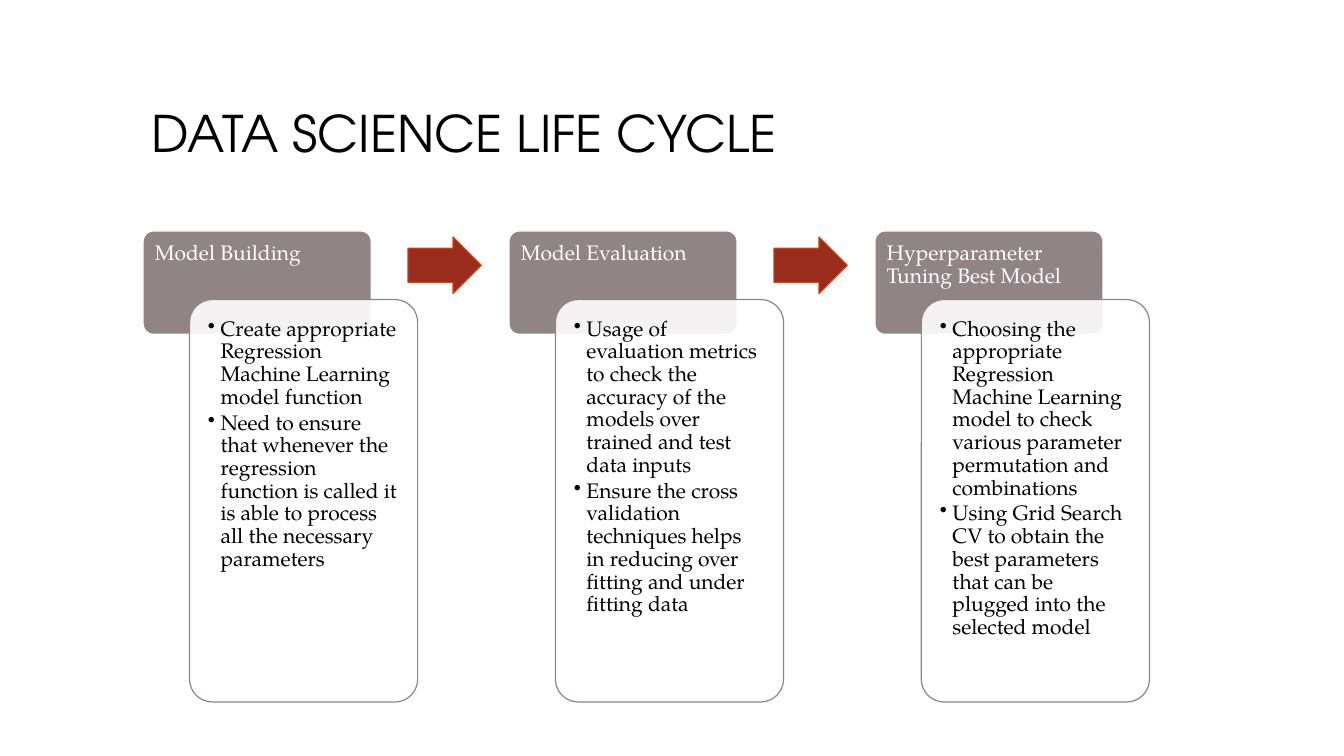
from dataclasses import dataclass

import pptx
import pptx.dml.color
import pptx.enum.shapes
import pptx.enum.text
import pptx.oxml.ns
import pptx.util
from lxml import etree
from pptx.util import Pt

COLORS = {
    "header": "918485",
    "card": "FFFFFF",
    "arrow": "9B2D1F",
    "arrow_edge": "D34817",
    "light_text": "FFFFFF",
    "dark_text": "000000",
}
TITLE_FONT = "TeX Gyre Adventor"
BODY_FONT = "TeX Gyre Pagella"
SHAPES = pptx.enum.shapes.MSO_SHAPE

FIRST_LEFT = 102.24
STAGE_PITCH = 261.36
STAGE_WIDTH = 162.9
INSET = 8.4
BULLET_INDENT = 9


@dataclass(frozen=True)
class Area:
    left: float
    top: float
    width: float
    height: float

    def shifted(self, distance: float) -> "Area":
        return Area(self.left + distance, self.top, self.width, self.height)

    def lengths(self) -> list[pptx.util.Length]:
        return [Pt(value) for value in (self.left, self.top, self.width, self.height)]


@dataclass(frozen=True)
class TextStyle:
    font: str
    size: float
    color: str
    space_after: float = 0
    bulleted: bool = False


@dataclass(frozen=True)
class Stage:
    name: str
    tasks: list[str]


TITLE = Area(101.5, 30.2, 756, 90)
HEADER = Area(FIRST_LEFT, 165, STAGE_WIDTH, 73.8)
HEADER_TEXT = Area(FIRST_LEFT, 165, STAGE_WIDTH, 49.5)
CARD = Area(135.4, 214, STAGE_WIDTH, 287.4)
CARD_TEXT = Area(140.2, 218.8, 153.4, 277.9)
ARROW = Area(289.4, 169.2, 52.5, 40.6)

TITLE_STYLE = TextStyle(TITLE_FONT, 36, "dark_text")
HEADER_STYLE = TextStyle(BODY_FONT, 15, "light_text", space_after=5.25)
TASK_STYLE = TextStyle(BODY_FONT, 15, "dark_text", space_after=2.25, bulleted=True)

STAGES = [
    Stage("Model Building", [
        "Create appropriate Regression Machine Learning model function",
        "Need to ensure that whenever the regression function is called it is able "
        "to process all the necessary parameters",
    ]),
    Stage("Model Evaluation", [
        "Usage of evaluation metrics to check the accuracy of the models over "
        "trained and test data inputs",
        "Ensure the cross validation techniques helps in reducing over fitting and "
        "under fitting data",
    ]),
    Stage("Hyperparameter Tuning Best Model", [
        "Choosing the appropriate Regression Machine Learning model to check "
        "various parameter permutation and combinations",
        "Using Grid Search CV to obtain the best parameters that can be plugged "
        "into the selected model",
    ]),
]


def rgb(name: str) -> pptx.dml.color.RGBColor:
    return pptx.dml.color.RGBColor.from_string(COLORS[name])


def add_panel(page, kind, area: Area, fill: str, edge: str, edge_width: float,
              adjustments: tuple[float, ...], opacity: int = 100) -> None:
    panel = page.shapes.add_shape(kind, *area.lengths())
    panel.shadow.inherit = False
    for index, value in enumerate(adjustments):
        panel.adjustments[index] = value
    panel.fill.solid()
    panel.fill.fore_color.rgb = rgb(fill)
    panel.line.color.rgb = rgb(edge)
    panel.line.width = Pt(edge_width)
    if opacity < 100:
        color = panel.fill._xPr.find(".//" + pptx.oxml.ns.qn("a:srgbClr"))
        alpha = etree.SubElement(color, pptx.oxml.ns.qn("a:alpha"))
        alpha.set("val", str(opacity * 1000))


def add_bullet(para) -> None:
    properties = para._p.get_or_add_pPr()
    properties.set("marL", str(Pt(BULLET_INDENT)))
    properties.set("indent", str(-Pt(BULLET_INDENT)))
    bullet = etree.SubElement(properties, pptx.oxml.ns.qn("a:buChar"))
    bullet.set("char", "•")


def add_text(page, area: Area, lines: list[str], style: TextStyle,
             insets: tuple[float, float, float, float],
             anchor=pptx.enum.text.MSO_ANCHOR.TOP) -> None:
    """Insets run left, top, right, bottom."""
    frame = page.shapes.add_textbox(*area.lengths()).text_frame
    frame.word_wrap = True
    frame.vertical_anchor = anchor
    (frame.margin_left, frame.margin_top,
     frame.margin_right, frame.margin_bottom) = map(Pt, insets)
    frame.text = "\n".join(lines)
    for para in frame.paragraphs:
        para.line_spacing = 0.9
        para.space_after = Pt(style.space_after)
        para.font.name = style.font
        para.font.size = Pt(style.size)
        para.font.color.rgb = rgb(style.color)
        if style.bulleted:
            add_bullet(para)


def add_stage(page, stage: Stage, offset: float) -> None:
    add_panel(page, SHAPES.ROUNDED_RECTANGLE, HEADER.shifted(offset),
              "header", "card", 0.85, (0.1,))
    add_text(page, HEADER_TEXT.shifted(offset), [stage.name], HEADER_STYLE,
             (INSET, INSET, INSET, INSET / 2))
    add_panel(page, SHAPES.ROUNDED_RECTANGLE, CARD.shifted(offset),
              "card", "header", 0.85, (0.1,), opacity=90)
    add_text(page, CARD_TEXT.shifted(offset), stage.tasks, TASK_STYLE, (INSET,) * 4)


def main() -> None:
    deck = pptx.Presentation()
    deck.slide_width, deck.slide_height = Pt(960), Pt(540)
    page = deck.slides.add_slide(deck.slide_layouts[6])
    add_text(page, TITLE, ["DATA SCIENCE LIFE CYCLE"], TITLE_STYLE,
             (7.2, 3.6, 7.2, 3.6), pptx.enum.text.MSO_ANCHOR.BOTTOM)
    for index, stage in enumerate(STAGES):
        offset = index * STAGE_PITCH
        add_stage(page, stage, offset)
        if index < len(STAGES) - 1:
            add_panel(page, SHAPES.RIGHT_ARROW, ARROW.shifted(offset + 2),
                      "arrow", "arrow_edge", 0.75, (0.6, 0.5))
    deck.save("out.pptx")


if __name__ == "__main__":
    main()
